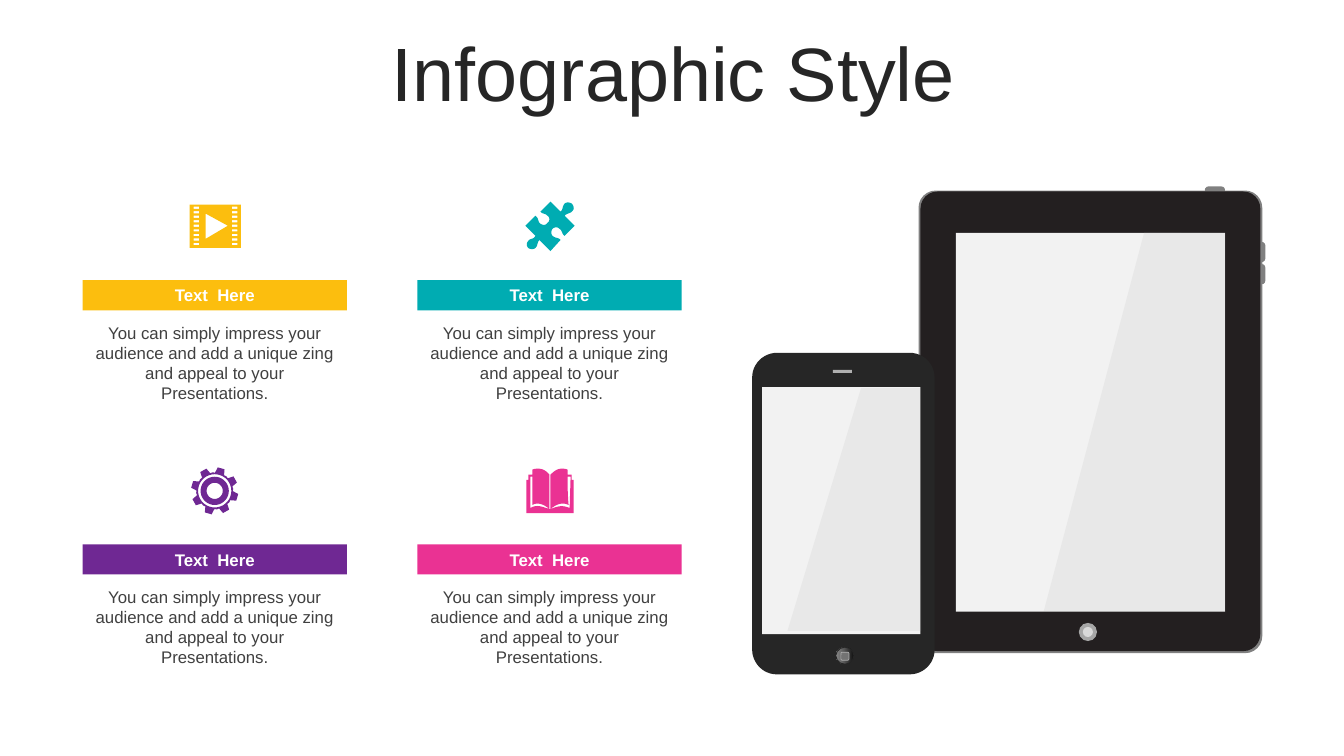
from math import cos, radians, sin

from lxml.etree import SubElement
from pptx import Presentation
from pptx.dml.color import RGBColor
from pptx.enum.shapes import MSO_SHAPE as Preset
from pptx.enum.text import MSO_ANCHOR as Anchor, MSO_AUTO_SIZE as AutoSize, PP_ALIGN as Align
from pptx.oxml.ns import qn
from pptx.util import Inches, Pt

YELLOW, TEAL, PURPLE, PINK = "FCBE0E", "00ACB2", "6F2893", "EA3293"
BODY_TEXT = "You can simply impress your audience and add a unique zing and appeal to your Presentations."

PUZZLE = """M 5.67 2.02 C 5.69 2.04 5.7 2.07 5.68 2.09 C 5.66 2.12 5.63 2.11 5.6 2.14
L 5.7 2.24 L 5.6 2.34 C 5.57 2.32 5.58 2.29 5.55 2.27 C 5.53 2.25 5.5 2.25 5.48 2.27
C 5.47 2.28 5.46 2.32 5.48 2.34 C 5.52 2.37 5.53 2.35 5.56 2.38 L 5.46 2.49 L 5.35 2.38
C 5.32 2.42 5.34 2.43 5.31 2.46 C 5.29 2.48 5.25 2.47 5.24 2.46 C 5.22 2.44 5.22 2.41 5.24 2.39
C 5.26 2.36 5.29 2.38 5.31 2.34 L 5.21 2.24 L 5.31 2.14 C 5.35 2.17 5.33 2.2 5.36 2.22
C 5.39 2.24 5.42 2.23 5.43 2.21 C 5.45 2.2 5.46 2.16 5.43 2.14 C 5.4 2.11 5.39 2.13 5.36 2.1
L 5.46 2 L 5.56 2.1 C 5.59 2.07 5.57 2.06 5.6 2.02 C 5.62 2 5.66 2.01 5.67 2.02"""

BOOK = """M 5.45 5.05 L 5.46 5.05 C 5.54 5.02 5.58 5.01 5.65 5.04 L 5.66 4.73 L 5.63 4.73
C 5.63 4.82 5.63 4.91 5.64 5.01 C 5.58 4.98 5.52 5 5.46 5.05 L 5.46 4.71
C 5.5 4.67 5.53 4.65 5.57 4.65 C 5.59 4.65 5.61 4.65 5.63 4.66 L 5.63 4.71 L 5.67 4.71
L 5.67 4.76 L 5.69 4.76 L 5.69 5.09 L 5.22 5.09 L 5.22 4.76 L 5.24 4.76 L 5.24 4.71 L 5.28 4.71
L 5.28 4.66 C 5.3 4.65 5.32 4.65 5.34 4.65 C 5.38 4.65 5.42 4.67 5.45 4.71 L 5.45 5.05
C 5.39 5 5.33 4.98 5.28 5.01 L 5.28 4.73 L 5.26 4.73 L 5.26 5.04 C 5.33 5 5.38 5.03 5.45 5.05"""


def color(value):
    return RGBColor.from_string(value)


def trace(drawing, steps=8):
    points, tokens = [], iter(drawing.split())
    for command in tokens:
        pairs = [(float(next(tokens)), float(next(tokens))) for _ in range(3 if command == "C" else 1)]
        if command == "C":
            curve = [points[-1]] + pairs
            for step in range(1, steps + 1):
                t = step / steps
                weights = ((1 - t) ** 3, 3 * t * (1 - t) ** 2, 3 * t * t * (1 - t), t ** 3)
                points.append(tuple(sum(w * p[axis] for w, p in zip(weights, curve)) for axis in (0, 1)))
        else:
            points += pairs
    return points


def rectangle(left, top, width, height):
    right, bottom = left + width, top + height
    return [(left, top), (right, top), (right, bottom), (left, bottom)]


def polar(center, radius, degrees):
    angle = radians(degrees)
    return center[0] + radius * cos(angle), center[1] + radius * sin(angle)


def film():
    holes = [rectangle(left, 2.05 + row * 0.045, 0.055, 0.022) for left in (1.92, 2.3) for row in range(9)]
    play = [(2.04, 2.12), (2.04, 2.37), (2.26, 2.24)]
    return [rectangle(1.88, 2.03, 0.51, 0.43), play] + holes


def gear():
    center = (2.13, 4.87)
    tooth = ((-15, 0.18), (-8.5, 0.235), (8.5, 0.235), (15, 0.18), (22.5, 0.185))
    rim = [polar(center, radius, -74 + 45 * turn + offset) for turn in range(8) for offset, radius in tooth]
    rings = [[polar(center, radius, degrees) for degrees in range(0, 360, 10)] for radius in (0.165, 0.14, 0.08)]
    return [rim] + rings


class SlideBuilder:
    font = "Arial"

    def __init__(self, page):
        self.page = page

    def paint(self, shape, fill, alpha=None):
        shape.shadow.inherit = False
        shape.fill.solid()
        shape.fill.fore_color.rgb = color(fill)
        shape.line.fill.background()
        if alpha is not None:
            tint = shape.element.spPr.find(qn("a:solidFill")).find(qn("a:srgbClr"))
            SubElement(tint, qn("a:alpha"), val=str(alpha * 1000))
        return shape

    def shape(self, preset, left, top, width, height, fill, rounding=None):
        shape = self.page.shapes.add_shape(preset, Inches(left), Inches(top), Inches(width), Inches(height))
        if rounding is not None:
            shape.adjustments[0] = rounding
        return self.paint(shape, fill)

    def outline(self, contours, fill, alpha=None):
        builder = None
        for contour in contours:
            start, *rest = [(Inches(x), Inches(y)) for x, y in contour]
            if builder is None:
                builder = self.page.shapes.build_freeform(*start)
            else:
                builder.move_to(*start)
            builder.add_line_segments(rest, close=True)
        return self.paint(builder.convert_to_shape(), fill, alpha)

    def gradient(self, shape, stops, angle):
        shape.fill.gradient()
        shape.fill.gradient_angle = angle
        stop_list = shape.element.spPr.find(qn("a:gradFill")).find(qn("a:gsLst"))
        for stop in list(stop_list):
            stop_list.remove(stop)
        for position, value in stops:
            stop = SubElement(stop_list, qn("a:gs"), pos=str(position * 1000))
            SubElement(stop, qn("a:srgbClr"), val=value)

    def border(self, shape, line, width):
        shape.line.color.rgb = color(line)
        shape.line.width = Pt(width)

    def label(self, box, text, size, ink, bold=False, anchor=Anchor.TOP, fit=AutoSize.SHAPE_TO_FIT_TEXT):
        frame = box.text_frame
        frame.word_wrap = True
        frame.auto_size = fit
        frame.vertical_anchor = anchor
        para = frame.paragraphs[0]
        para.alignment = Align.CENTER
        span = para.add_run()
        span.text = text
        span.font.name = self.font
        span.font.size = Pt(size)
        span.font.bold = bold
        span.font.color.rgb = color(ink)
        return para

    def text(self, left, top, width, height, text, size, ink, **style):
        box = self.page.shapes.add_textbox(Inches(left), Inches(top), Inches(width), Inches(height))
        return self.label(box, text, size, ink, **style)

    def card(self, left, top, fill):
        self.text(left, top + 0.37, 2.62, 0.91, BODY_TEXT, 12, "404040")
        bar = self.shape(Preset.RECTANGLE, left, top, 2.62, 0.3, fill)
        self.label(bar, "Text  Here", 12, "FFFFFF", bold=True)

    def tablet(self):
        for button in ((11.95, 1.85, 0.2, 0.07), (12.48, 2.62, 0.07, 0.2), (12.48, 2.4, 0.07, 0.2)):
            self.shape(Preset.ROUNDED_RECTANGLE, *button, "808080", 0.5)
        self.shape(Preset.ROUNDED_RECTANGLE, 9.11, 1.89, 3.41, 4.59, "808080", 0.05)
        self.shape(Preset.ROUNDED_RECTANGLE, 9.13, 1.9, 3.37, 4.56, "231F20", 0.05)
        self.shape(Preset.RECTANGLE, 9.48, 2.31, 2.67, 3.76, "F2F2F2")
        self.outline([[(11.35, 2.3), (12.16, 2.31), (12.16, 6.07), (10.35, 6.07)]], "999999", 10)
        self.shape(Preset.OVAL, 10.7, 6.18, 0.18, 0.18, "A6A6A6")
        self.shape(Preset.OVAL, 10.74, 6.22, 0.1, 0.1, "D9D9D9")

    def phone(self):
        self.shape(Preset.ROUNDED_RECTANGLE, 7.46, 3.5, 1.81, 3.19, "262626", 0.136)
        self.shape(Preset.RECTANGLE, 8.26, 3.67, 0.19, 0.03, "B0B0B0")
        home = self.shape(Preset.OVAL, 8.29, 6.42, 0.18, 0.17, "595959")
        self.gradient(home, [(0, "0F0F0F"), (56, "595959"), (91, "808080"), (100, "BFBFBF")], 180)
        self.border(home, "262626", 0)
        mark = self.shape(Preset.ROUNDED_RECTANGLE, 8.34, 6.47, 0.08, 0.08, "737373")
        self.border(mark, "B0B0B0", 0.5)
        self.shape(Preset.RECTANGLE, 7.56, 3.84, 1.57, 2.45, "F2F2F2")
        self.outline([[(8.54, 3.85), (9.13, 3.85), (9.14, 6.26), (7.81, 6.26)]], "999999", 10)


def main():
    deck = Presentation()
    deck.slide_width, deck.slide_height = Inches(13.33), Inches(7.5)
    builder = SlideBuilder(deck.slides.add_slide(deck.slide_layouts[6]))
    builder.tablet()
    builder.phone()
    title = builder.text(0.35, 0.37, 12.66, 0.79, "Infographic Style", 54, "262626",
                         anchor=Anchor.MIDDLE, fit=AutoSize.NONE)
    title.line_spacing = 0.9
    for index, fill in enumerate((YELLOW, TEAL, PURPLE, PINK)):
        row, column = divmod(index, 2)
        builder.card(0.82 + 3.32 * column, 2.78 + 2.62 * row, fill)
    icons = ((film(), YELLOW), (gear(), PURPLE), ([trace(PUZZLE)], TEAL), ([trace(BOOK)], PINK))
    for contours, fill in icons:
        builder.outline(contours, fill)
    deck.save("out.pptx")


if __name__ == "__main__":
    main()
